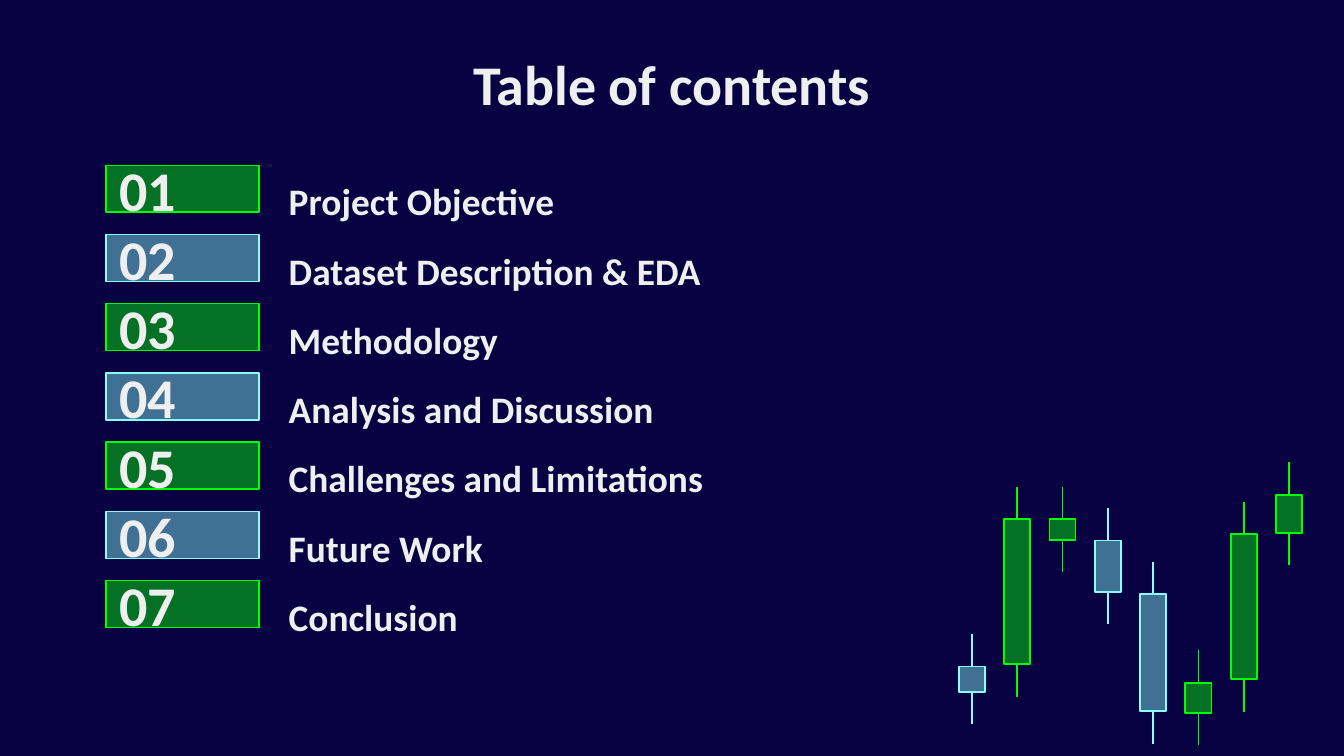
from lxml import etree
from pptx import Presentation
from pptx.dml.color import RGBColor
from pptx.enum.shapes import MSO_CONNECTOR, MSO_SHAPE
from pptx.enum.text import MSO_ANCHOR, PP_ALIGN
from pptx.oxml.ns import qn
from pptx.util import Pt

RECTANGLE = MSO_SHAPE.RECTANGLE
STRAIGHT = MSO_CONNECTOR.STRAIGHT
TOP, MIDDLE = MSO_ANCHOR.TOP, MSO_ANCHOR.MIDDLE
LEFT, CENTER = PP_ALIGN.LEFT, PP_ALIGN.CENTER

NAVY, WHITE, GREEN, CYAN = "080243", "EFEFEF", "00FF00", "89FFFF"
OPACITY = 44

CONTENTS = [
    ("Project Objective", 219.6),
    ("Dataset Description & EDA", 313.2),
    ("Methodology", 219.6),
    ("Analysis and Discussion", 331.2),
    ("Challenges and Limitations", 371.5),
    ("Future Work", 219.6),
    ("Conclusion", 371.5),
]
MARGIN = 56.7
FIRST_ROW, ROW_PITCH, ROW_HEIGHT = 88.5, 37.1, 25.2
NUMBER_WIDTH, LABEL_LEFT = 82, 147.6

CANDLES = [
    (CYAN, 357.1, 370.6),
    (GREEN, 278, 355.9),
    (GREEN, 278, 289.4),
    (CYAN, 289.6, 317),
    (CYAN, 318.2, 381.1),
    (GREEN, 365.8, 382),
    (GREEN, 286, 363.9),
    (GREEN, 265.1, 285.6),
]
FIRST_CANDLE, CANDLE_PITCH, CANDLE_WIDTH, WICK = 513.7, 24.27, 14, 17.3


def color(hex_code):
    """Turn a hex string into a colour."""
    return RGBColor.from_string(hex_code)


def write(box, text, size, align=LEFT, anchor=TOP):
    """Put one bold line of text in a shape or text box."""
    frame = box.text_frame
    frame.word_wrap = True
    frame.vertical_anchor = anchor
    frame.margin_left = frame.margin_right = Pt(7.2)
    frame.margin_top = frame.margin_bottom = Pt(7.2)
    para = frame.paragraphs[0]
    para.text = text
    para.alignment = align
    para.font.name = "Calibri"
    para.font.size = Pt(size)
    para.font.bold = True
    para.font.color.rgb = color(WHITE)


def add_text(page, left, top, width, height, text, size, align=LEFT):
    """Add a text box with one line of text."""
    box = page.shapes.add_textbox(Pt(left), Pt(top), Pt(width), Pt(height))
    write(box, text, size, align)


def add_tinted_box(page, left, top, width, height, hue, line_width):
    """Add an outlined rectangle with a translucent fill of the same hue."""
    box = page.shapes.add_shape(RECTANGLE, Pt(left), Pt(top), Pt(width), Pt(height))
    box.shadow.inherit = False
    box.fill.solid()
    box.fill.fore_color.rgb = color(hue)
    tint = box.element.spPr.find(qn("a:solidFill")).find(qn("a:srgbClr"))
    etree.SubElement(tint, qn("a:alpha")).set("val", str(OPACITY * 1000))
    box.line.color.rgb = color(hue)
    box.line.width = Pt(line_width)
    return box


def add_wick(page, x, start, end, hue):
    """Add a thin vertical line."""
    wick = page.shapes.add_connector(STRAIGHT, Pt(x), Pt(start), Pt(x), Pt(end))
    wick.line.color.rgb = color(hue)
    wick.line.width = Pt(1)
    etree.SubElement(wick.element.spPr, qn("a:effectLst"))


def add_candle(page, left, top, bottom, hue):
    """Add a candlestick: a body with a wick above and below."""
    add_tinted_box(page, left, top, CANDLE_WIDTH, bottom - top, hue, 1)
    middle = left + CANDLE_WIDTH / 2
    add_wick(page, middle, top - WICK, top, hue)
    add_wick(page, middle, bottom, bottom + WICK, hue)


def add_entry(page, index, label, width):
    """Add one numbered row of the contents."""
    top = FIRST_ROW + index * ROW_PITCH
    hue = CYAN if index % 2 else GREEN
    box = add_tinted_box(page, MARGIN, top, NUMBER_WIDTH, ROW_HEIGHT, hue, 0.75)
    write(box, f"{index + 1:02}", 30, anchor=MIDDLE)
    add_text(page, LABEL_LEFT, top, width, ROW_HEIGHT, label, 20)


def main():
    """Build the contents slide and save it."""
    deck = Presentation()
    deck.slide_width, deck.slide_height = Pt(720), Pt(405)
    page = deck.slides.add_slide(deck.slide_layouts[6])
    page.background.fill.solid()
    page.background.fill.fore_color.rgb = color(NAVY)

    add_text(page, MARGIN, 19.5, 606.6, 45, "Table of contents", 30, CENTER)
    for index, (label, width) in enumerate(CONTENTS):
        add_entry(page, index, label, width)
    for index, (hue, top, bottom) in enumerate(CANDLES):
        add_candle(page, FIRST_CANDLE + index * CANDLE_PITCH, top, bottom, hue)

    deck.save("out.pptx")


if __name__ == "__main__":
    main()
